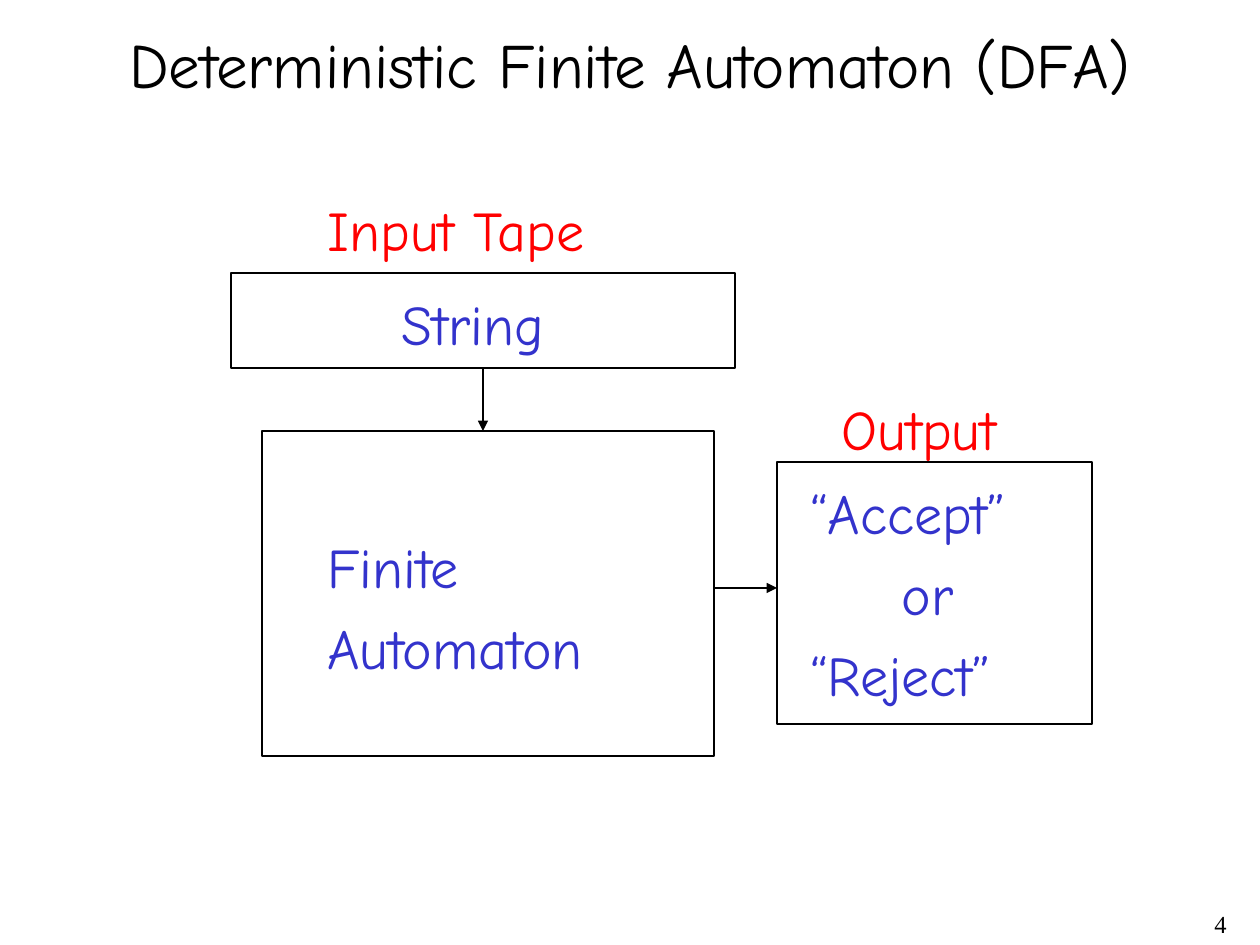
from pptx import Presentation, util as u
from pptx.dml.color import RGBColor
from pptx.enum import shapes, text
from pptx.oxml import ns
from lxml import etree

BLACK = RGBColor(0, 0, 0)
RED = RGBColor(0xFF, 0, 0)
BLUE = RGBColor(0x33, 0x33, 0xCC)
FONT = "Comic Neue"
SCALE = u.Inches(1) / 126


def emu(pixels):
    """Turn picture pixels into EMU."""
    return u.Emu(round(pixels * SCALE))


def write(frame, lines, size=32, color=BLUE, font=FONT, align=text.PP_ALIGN.LEFT,
          anchor=text.MSO_ANCHOR.TOP, before=8, indents=()):
    """Fill a text frame with one formatted paragraph per line."""
    frame.word_wrap = True
    frame.vertical_anchor = anchor
    for index, line in enumerate(lines):
        para = frame.paragraphs[0] if index == 0 else frame.add_paragraph()
        para.alignment = align
        para.space_before = u.Pt(before)
        if index in indents:
            para._p.get_or_add_pPr().set("marL", str(emu(indents[index])))
        span = para.add_run()
        span.text = line
        span.font.size = u.Pt(size)
        span.font.name = font
        span.font.color.rgb = color


def add_label(page, left, top, width, height, lines, **style):
    """Add a text box holding the given lines."""
    box = page.shapes.add_textbox(*map(emu, (left, top, width, height)))
    write(box.text_frame, lines, **style)


def add_box(page, left, top, width, height):
    """Add an unfilled outlined rectangle."""
    box = page.shapes.add_shape(shapes.MSO_SHAPE.RECTANGLE,
                                *map(emu, (left, top, width, height)))
    box.shadow.inherit = False
    box.fill.background()
    box.line.color.rgb = BLACK
    box.line.width = u.Pt(0.75)


def add_arrow(page, start, end):
    """Add a straight arrow between two points."""
    arrow = page.shapes.add_connector(shapes.MSO_CONNECTOR.STRAIGHT,
                                      *map(emu, (*start, *end)))
    arrow.line.color.rgb = BLACK
    arrow.line.width = u.Pt(0.75)
    etree.SubElement(arrow.line._get_or_add_ln(), ns.qn("a:tailEnd"), type="triangle")
    etree.SubElement(arrow._element.spPr, ns.qn("a:effectLst"))


def add_title(page, left, top, width, height, words):
    """Place and format the title placeholder."""
    title = page.shapes.title
    title.left, title.top, title.width, title.height = map(emu, (left, top, width, height))
    write(title.text_frame, [words], size=36, color=BLACK, before=0,
          align=text.PP_ALIGN.CENTER, anchor=text.MSO_ANCHOR.MIDDLE)


def add_tape(page, left, top, width, height):
    """Draw the input tape with its heading and content."""
    add_box(page, left, top, width, height)
    add_label(page, left + 84, top - 84, 315, 79, ["Input Tape"], color=RED)
    add_label(page, left + 158, top + 10, 193, 79, ["String"])


def add_automaton(page, left, top, width, height):
    """Draw the automaton block."""
    add_box(page, left, top, width, height)
    add_label(page, left + 53, top + 95, 309, 160, ["Finite", "Automaton"])


def add_output(page, left, top, width, height):
    """Draw the output block with its heading and verdicts."""
    add_box(page, left, top, width, height)
    add_label(page, left + 21, top + 10, 256, 241,
              ["“Accept”", "or", "“Reject”"], indents={1: 91})
    add_label(page, left + 52, top - 74, 212, 79, ["Output"], color=RED)


def build_slide(deck):
    """Build the automaton slide."""
    page = deck.slides.add_slide(deck.slide_layouts[5])
    add_title(page, 21, 21, 1218, 84, "Deterministic Finite Automaton (DFA)")
    add_tape(page, 231, 273, 504, 95)
    add_automaton(page, 262, 431, 452, 325)
    add_output(page, 777, 462, 315, 262)
    add_arrow(page, (483, 368), (483, 431))
    add_arrow(page, (714, 588), (777, 588))
    add_label(page, 977, 903, 262, 42, ["4"], size=14, color=BLACK, before=0,
              font="Times New Roman", align=text.PP_ALIGN.RIGHT)


deck = Presentation()
deck.slide_width, deck.slide_height = emu(1260), emu(945)
build_slide(deck)
deck.save("out.pptx")
